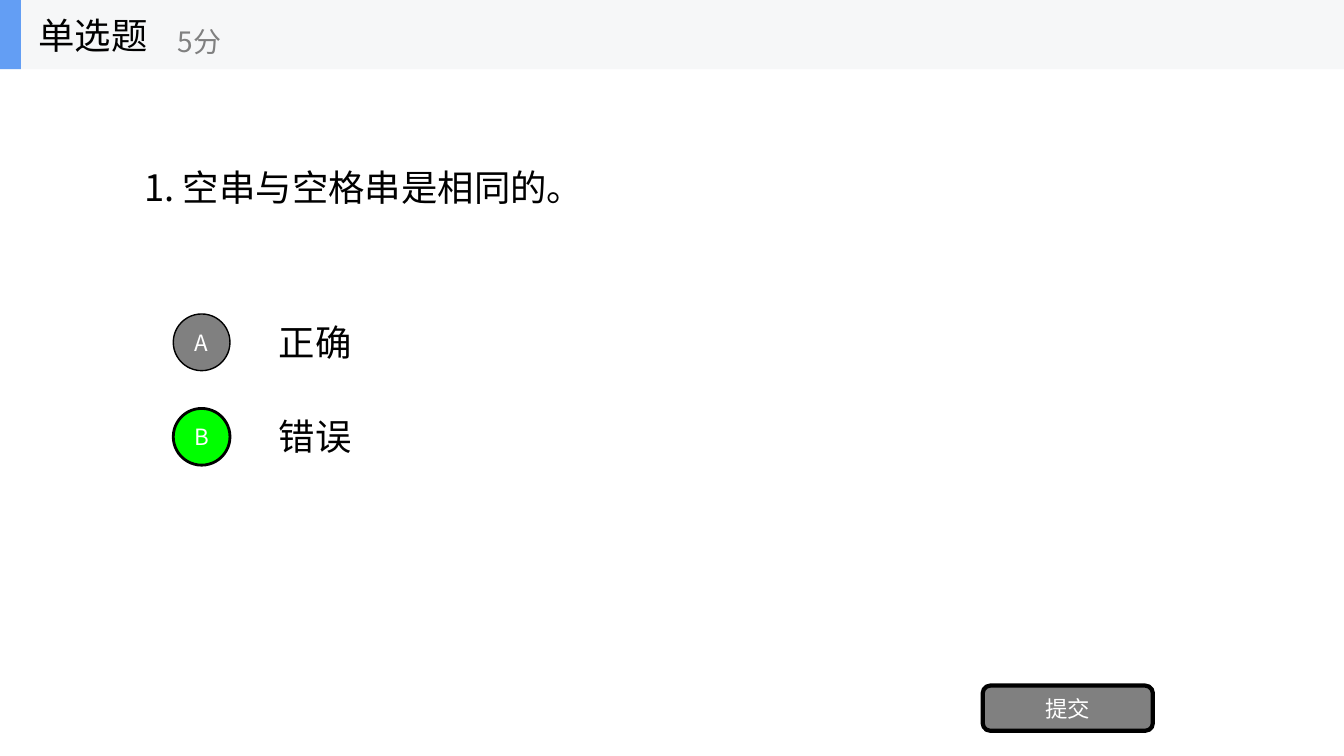
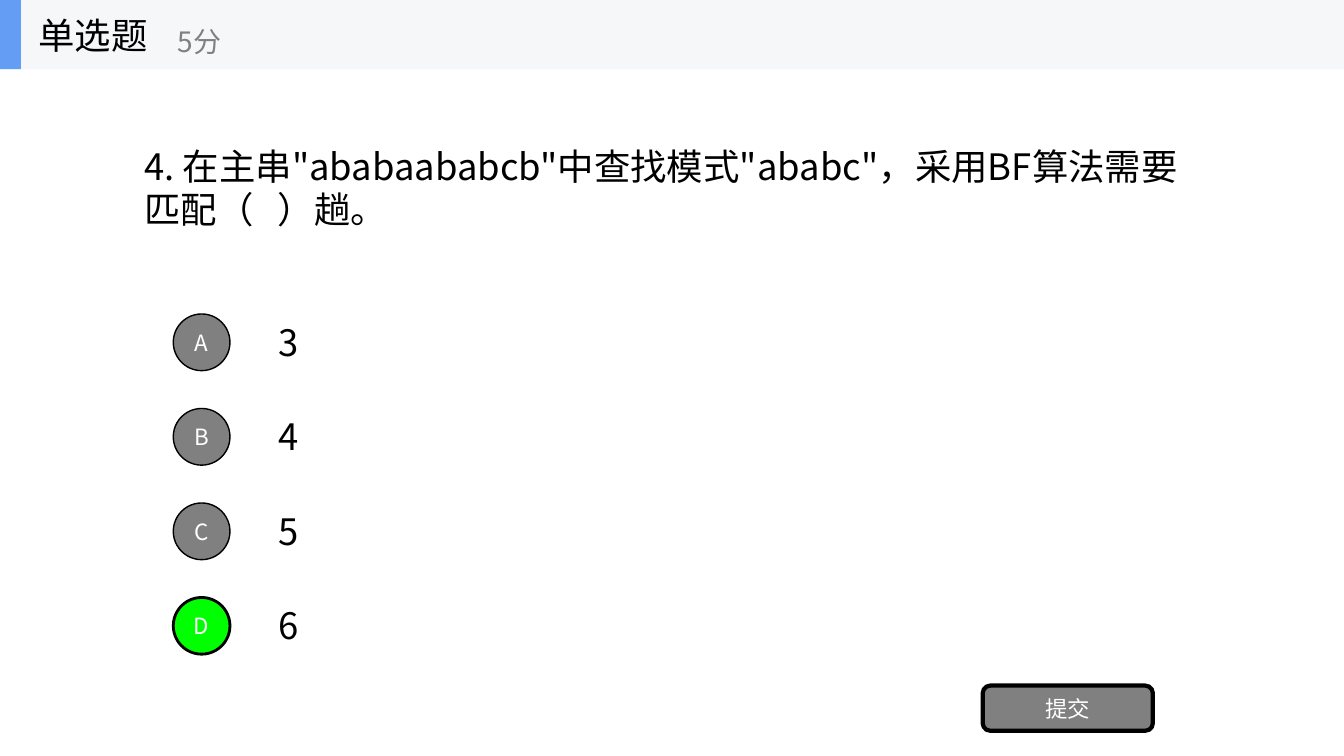
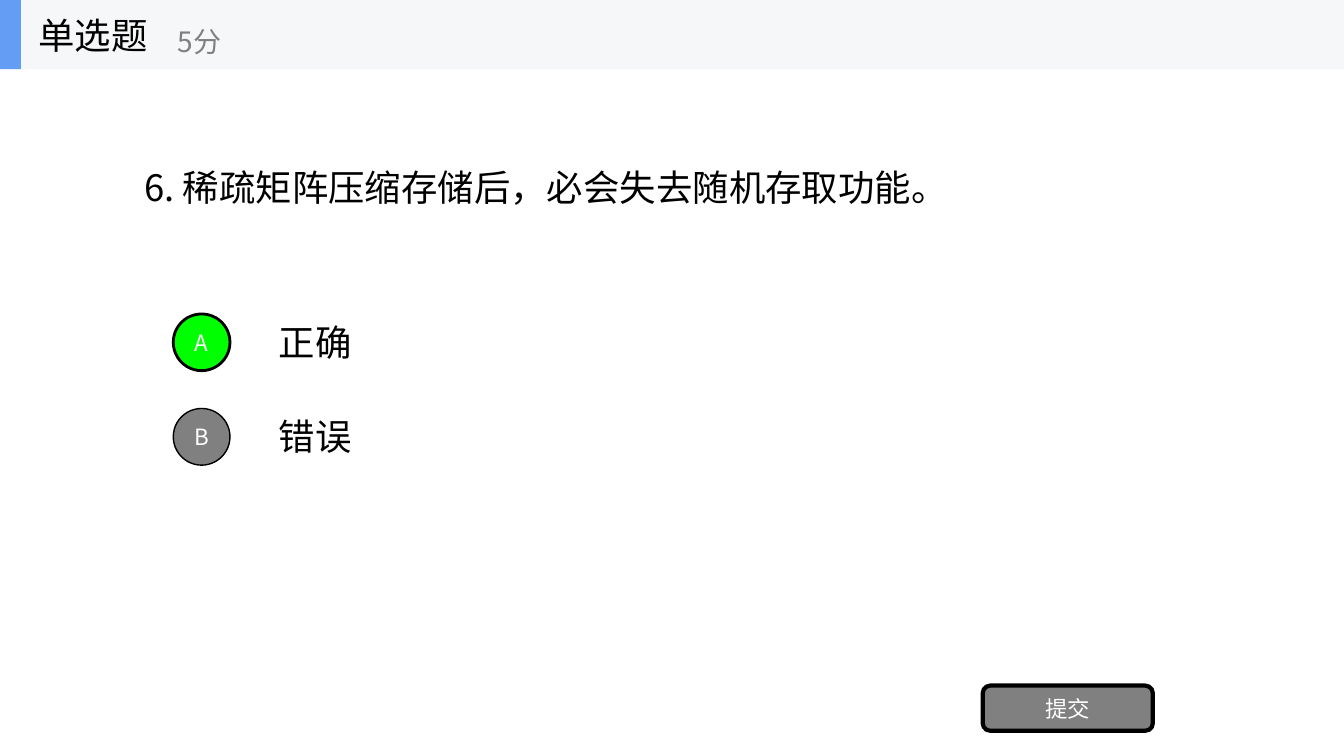
from dataclasses import dataclass

import lxml.etree
import pptx
import pptx.dml.color
import pptx.enum.shapes
import pptx.enum.text
import pptx.oxml.ns
import pptx.util

PX = 9525  # EMU in one px
SLIDE_WIDTH, SLIDE_HEIGHT = 1280, 720
HEADER_HEIGHT = 66
OPTION_TOP, OPTION_STEP = 292, 90
OPTION_HEIGHT, BADGE_SIZE = 67, 54

SHAPE = pptx.enum.shapes.MSO_SHAPE
ALIGN = pptx.enum.text.PP_ALIGN


@dataclass(frozen=True)
class Theme:
    font: str = "Noto Sans CJK SC"
    ink: str = "000000"
    muted: str = "808080"
    correct: str = "00FF00"
    light: str = "FFFFFF"
    band: str = "F6F7F8"
    accent: str = "639EF4"
    body_size: int = 26
    score_size: int = 20
    label_size: int = 16


THEME = Theme()

QUESTIONS = [
    # question, options, index of the correct option
    ("1. 空串与空格串是相同的。", ["正确", "错误"], 1),
    (
        '4. 在主串"ababaababcb"中查找模式"ababc"，采用BF算法需要匹配（   ）趟。',
        ["3", "4", "5", "6"],
        3,
    ),
    ("6. 稀疏矩阵压缩存储后，必会失去随机存取功能。", ["正确", "错误"], 0),
]


def rgb(color):
    return pptx.dml.color.RGBColor.from_string(color)


def px(*lengths):
    return [pptx.util.Emu(length * PX) for length in lengths]


def write(shape, text, size, color, align=ALIGN.LEFT, wrap=True):
    frame = shape.text_frame
    frame.word_wrap = wrap
    frame.vertical_anchor = pptx.enum.text.MSO_ANCHOR.MIDDLE
    paragraph = frame.paragraphs[0]
    paragraph.text = text
    paragraph.alignment = align
    font = paragraph.font
    font.name = THEME.font
    font.size = pptx.util.Pt(size)
    font.color.rgb = rgb(color)
    # Chinese characters take the East Asian typeface
    properties = paragraph._p.pPr.find(pptx.oxml.ns.qn("a:defRPr"))
    east_asian = lxml.etree.SubElement(properties, pptx.oxml.ns.qn("a:ea"))
    east_asian.set("typeface", THEME.font)


def add_text(shapes, box, text, size=THEME.body_size, color=THEME.ink, wrap=True):
    write(shapes.add_textbox(*px(*box)), text, size, color, wrap=wrap)


def add_block(shapes, kind, box, fill, line_width=0):
    shape = shapes.add_shape(kind, *px(*box))
    shape.shadow.inherit = False
    shape.fill.solid()
    shape.fill.fore_color.rgb = rgb(fill)
    if line_width:
        shape.line.color.rgb = rgb(THEME.ink)
        shape.line.width = pptx.util.Pt(line_width)
    else:
        shape.line.fill.background()
    return shape


def add_button(shapes, kind, box, label, fill, line_width):
    """Add an outlined shape with a centred light label."""
    button = add_block(shapes, kind, box, fill, line_width)
    frame = button.text_frame
    frame.margin_left = frame.margin_right = 0
    frame.margin_top = frame.margin_bottom = 0
    write(button, label, THEME.label_size, THEME.light, ALIGN.CENTER)


def add_header(slide):
    shapes = slide.shapes.add_group_shape().shapes
    add_block(shapes, SHAPE.RECTANGLE, (0, 0, SLIDE_WIDTH, HEADER_HEIGHT), THEME.band)
    add_block(shapes, SHAPE.RECTANGLE, (0, 0, 20, HEADER_HEIGHT), THEME.accent)
    add_text(shapes, (27, 0, 200, HEADER_HEIGHT), "单选题", wrap=False)
    add_text(shapes, (160, 12, 240, 54), "5分", THEME.score_size, THEME.muted, wrap=False)


def add_option(slide, index, text, is_correct):
    top = OPTION_TOP + index * OPTION_STEP
    add_text(slide.shapes, (256, top, 896, OPTION_HEIGHT), text)
    badge_top = top + (OPTION_HEIGHT - BADGE_SIZE + 1) // 2
    fill, line_width = (THEME.correct, 2) if is_correct else (THEME.muted, 1)
    add_button(
        slide.shapes, SHAPE.OVAL, (165, badge_top, BADGE_SIZE, BADGE_SIZE),
        "ABCD"[index], fill, line_width,
    )


def add_question_slide(presentation, question, options, correct):
    slide = presentation.slides.add_slide(presentation.slide_layouts[6])
    add_text(slide.shapes, (128, HEADER_HEIGHT, 1024, 225), question)
    for index, option in enumerate(options):
        add_option(slide, index, option, index == correct)
    add_button(
        slide.shapes, SHAPE.ROUNDED_RECTANGLE, (936, 653, 162, 43),
        "提交", THEME.muted, 3,
    )
    add_header(slide)


def main():
    presentation = pptx.Presentation()
    presentation.slide_width, presentation.slide_height = px(SLIDE_WIDTH, SLIDE_HEIGHT)
    for question, options, correct in QUESTIONS:
        add_question_slide(presentation, question, options, correct)
    presentation.save("out.pptx")


if __name__ == "__main__":
    main()
